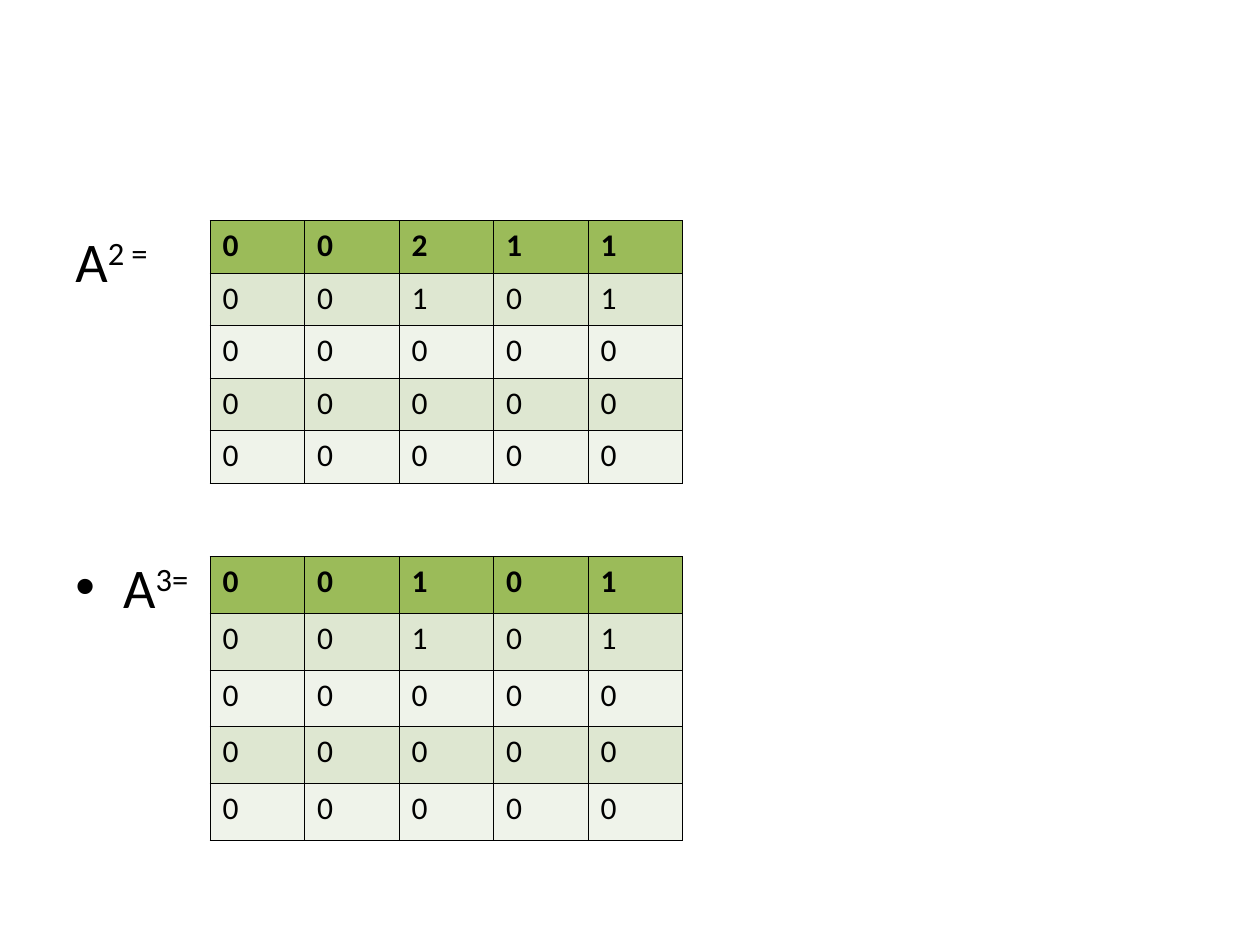
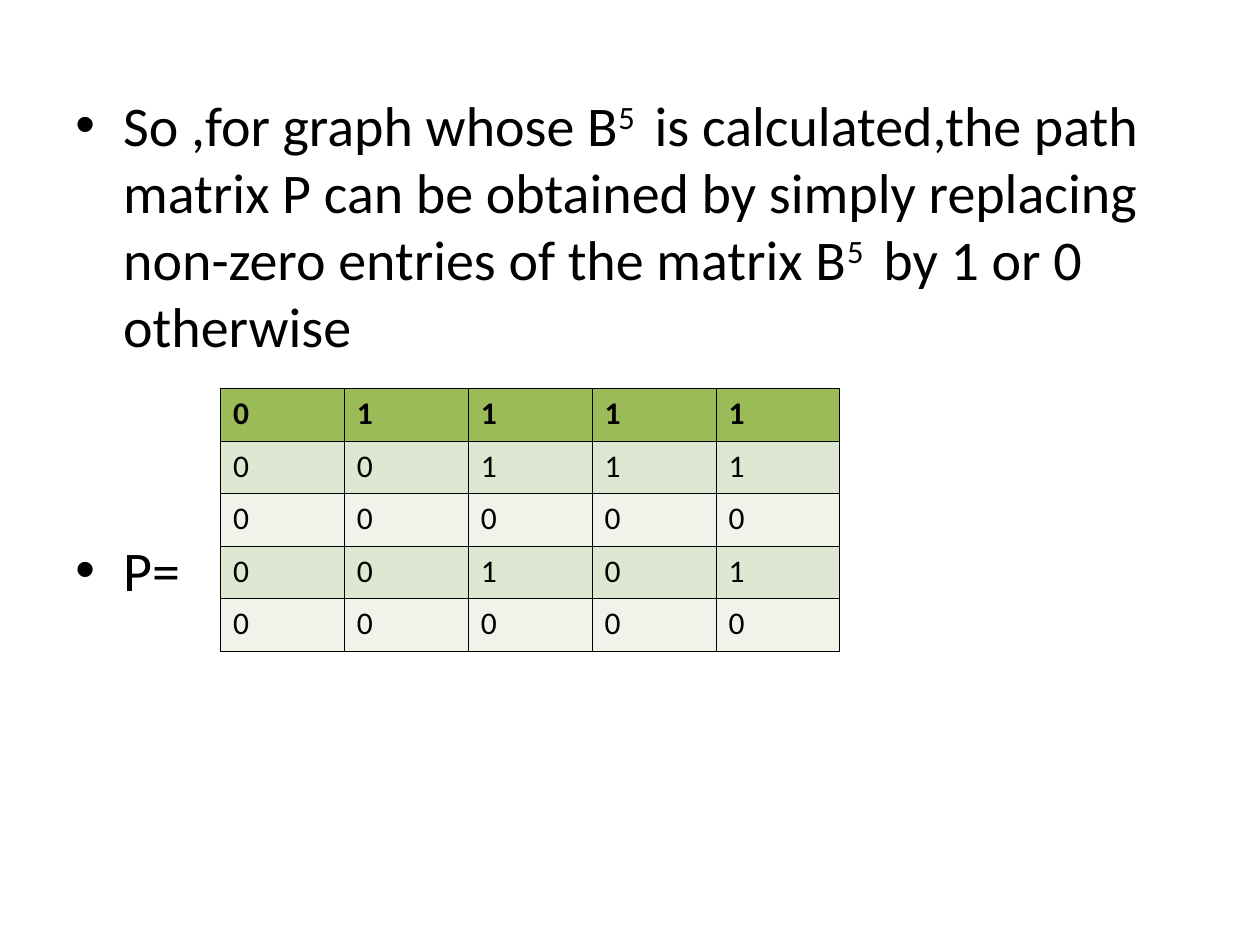
from lxml.etree import SubElement
from pptx import Presentation
from pptx.dml.color import RGBColor
from pptx.oxml.ns import qn
from pptx.util import Inches, Pt

# Shared look
FONT = "Calibri"
INK, HEAD, BANDS = "000000", "9BBB59", ("DEE7D1", "EFF3EA")
UNIT = Inches(10) // 120  # the slide is a grid of 120 columns by 90 rows
INDENT = Inches(0.38)
GAP, LINE = 8, 46.5  # space before a paragraph, pitch of one text row


def color(code):
    return RGBColor.from_string(code)


def grid(*cells):
    return [round(n * UNIT) for n in cells]


def write(para, text, size=32, bold=False, raised=False):
    run = para.add_run()
    run.text = text
    font = run.font
    font.name, font.size, font.bold = FONT, Pt(size), bold
    font.color.rgb = color(INK)
    if raised:
        run._r.get_or_add_rPr().set("baseline", "30000")


def hang(para, bullet):
    props = para._p.get_or_add_pPr()
    props.set("marL", str(INDENT))
    props.set("indent", str(-INDENT))
    if bullet:
        tint = SubElement(props, qn("a:buClr"))
        SubElement(tint, qn("a:srgbClr"), val=INK)
        SubElement(props, qn("a:buFont"), typeface="Arial")
        SubElement(props, qn("a:buChar"), char="•")
    else:
        SubElement(props, qn("a:buNone"))


def body(slide, box, items):
    """Each item: bullet or not, rows skipped above, then plain and raised parts in turn."""
    frame = slide.shapes.add_textbox(*grid(*box)).text_frame
    frame.word_wrap = True
    for i, (bullet, skip, *parts) in enumerate(items):
        para = frame.add_paragraph() if i else frame.paragraphs[0]
        hang(para, bullet)
        para.space_before = Pt(GAP + skip * LINE if i else 0)
        for j, part in enumerate(parts):
            write(para, part, raised=j % 2 == 1)


def border(cell):
    props = cell._tc.get_or_add_tcPr()
    for side in ("lnL", "lnR", "lnT", "lnB"):
        line = SubElement(props, qn("a:" + side), w=str(Pt(0.45)))
        fill = SubElement(line, qn("a:solidFill"))
        SubElement(fill, qn("a:srgbClr"), val=INK)


def matrix(slide, box, rows):
    left, top, width, height = grid(*box)
    count = len(rows)
    table = slide.shapes.add_table(count, len(rows[0]), left, top, width, height).table
    table.first_row = table.horz_banding = False
    for col in table.columns:
        col.width = width // len(rows[0])
    for r, digits in enumerate(rows):
        table.rows[r].height = height // count
        for c, digit in enumerate(digits):
            cell = table.cell(r, c)
            border(cell)
            cell.fill.solid()
            cell.fill.fore_color.rgb = color(BANDS[(r - 1) % 2] if r else HEAD)
            write(cell.text_frame.paragraphs[0], digit, size=18, bold=r == 0)


def page(deck, box, items, tables):
    slide = deck.slides.add_slide(deck.slide_layouts[6])
    body(slide, box, items)
    for place, rows in tables:
        matrix(slide, place, rows)


def main():
    deck = Presentation()
    deck.slide_width, deck.slide_height = grid(120, 90)

    # Powers of the adjacency matrix
    page(deck, (6, 21, 108, 59.4),
         [(False, 0, "A", "2 ="), (True, 3, "A", "3=")],
         [((20, 21, 45, 25), ("00211", "00101", "00000", "00000", "00000")),
          ((20, 53, 45, 27), ("00101", "00101", "00000", "00000", "00000"))])

    # Path matrix
    page(deck, (6, 8, 106.3, 70.8),
         [(True, 0, "So ,for graph whose B", "5 ",
           " is calculated,the path matrix P can be obtained by simply replacing "
           "non-zero entries of the matrix B", "5 ", " by 1 or 0 otherwise"),
          (True, 2, "P=")],
         [((21, 37, 59, 25), ("01111", "00111", "00000", "00101", "00000"))])

    deck.save("out.pptx")


if __name__ == "__main__":
    main()
